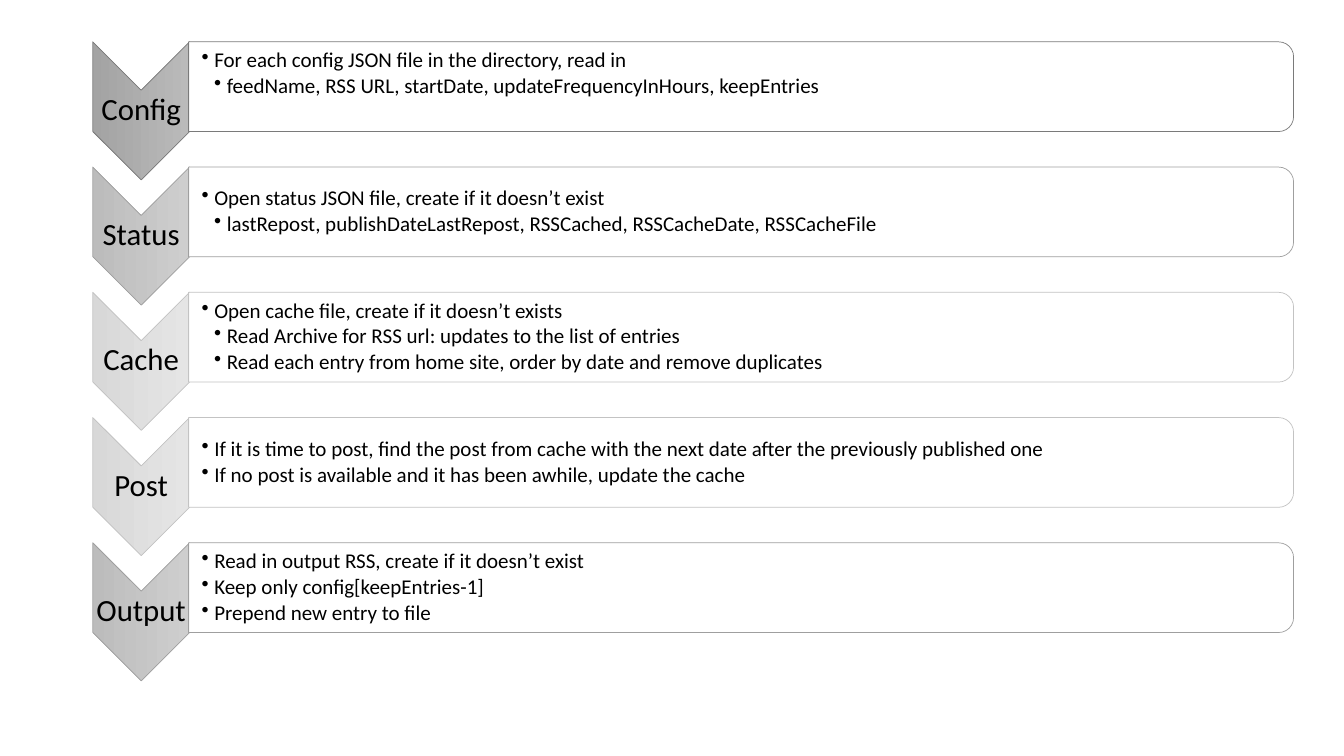
from dataclasses import dataclass

from lxml import etree
from pptx import Presentation
from pptx.dml.color import RGBColor
from pptx.enum.shapes import MSO_SHAPE
from pptx.enum.text import MSO_ANCHOR, PP_ALIGN
from pptx.oxml.ns import qn
from pptx.shapes.autoshape import Shape
from pptx.slide import Slide
from pptx.util import Inches, Pt

CHEVRON = MSO_SHAPE.CHEVRON
CARD = MSO_SHAPE.ROUND_2_SAME_RECTANGLE
MIDDLE = MSO_ANCHOR.MIDDLE
LEFT, CENTER = PP_ALIGN.LEFT, PP_ALIGN.CENTER

BLACK = RGBColor(0x00, 0x00, 0x00)
WHITE = RGBColor(0xFF, 0xFF, 0xFF)
FONT = "Calibri"
BULLET_INDENT = 0.125


@dataclass(frozen=True)
class Tone:
    top: RGBColor
    bottom: RGBColor
    outline: RGBColor


@dataclass(frozen=True)
class Step:
    name: str
    tone: Tone
    points: list[tuple[int, str]]  # (bullet level, wording)
    lift: float = 0  # extra room below the wording


DARK = Tone(RGBColor(0xBA, 0xBA, 0xBA), RGBColor(0xA3, 0xA3, 0xA3), RGBColor(0x7A, 0x7A, 0x7A))
MEDIUM = Tone(RGBColor(0xCE, 0xCE, 0xCE), RGBColor(0xBC, 0xBC, 0xBC), RGBColor(0x9F, 0x9F, 0x9F))
LIGHT = Tone(RGBColor(0xE5, 0xE5, 0xE5), RGBColor(0xD8, 0xD8, 0xD8), RGBColor(0xC3, 0xC3, 0xC3))

STEPS = [
    Step("Config", DARK, [
        (1, "For each config JSON file in the directory, read in"),
        (2, "feedName, RSS URL, startDate, updateFrequencyInHours, keepEntries"),
    ], lift=0.26),
    Step("Status", MEDIUM, [
        (1, "Open status JSON file, create if it doesn’t exist"),
        (2, "lastRepost, publishDateLastRepost, RSSCached, RSSCacheDate, RSSCacheFile"),
    ]),
    Step("Cache", LIGHT, [
        (1, "Open cache file, create if it doesn’t exists"),
        (2, "Read Archive for RSS url: updates to the list of entries"),
        (2, "Read each entry from home site, order by date and remove duplicates"),
    ]),
    Step("Post", LIGHT, [
        (1, "If it is time to post, find the post from cache with the next date "
            "after the previously published one"),
        (1, "If no post is available and it has been awhile, update the cache"),
    ]),
    Step("Output", MEDIUM, [
        (1, "Read in output RSS, create if it doesn’t exist"),
        (1, "Keep only config[keepEntries-1]"),
        (1, "Prepend new entry to file"),
    ]),
]

# Layout in inches; every centre is measured from the top of its step
FIRST_TOP, LAST_TOP = 0.41, 5.38
PITCH = (LAST_TOP - FIRST_TOP) / (len(STEPS) - 1)
CHEVRON_X, CHEVRON_Y = 1.4, 0.69
CARD_X, CARD_Y = 7.35, 0.45


def add_turned_shape(slide: Slide, kind: int, x: float, y: float,
                     width: float, height: float, outline: RGBColor) -> Shape:
    """Add a preset shape centred on (x, y) and turned by 90 degrees."""
    shape = slide.shapes.add_shape(kind, Inches(x - width / 2), Inches(y - height / 2),
                                   Inches(width), Inches(height))
    shape.rotation = 90
    shape.shadow.inherit = False
    shape.line.color.rgb = outline
    shape.line.width = Pt(0.5)
    return shape


def add_text(slide: Slide, lines: list[tuple[int, str]], *, left: float, top: float,
             width: float, height: float, size: float, align: int,
             insets: tuple[float, float, float, float]) -> None:
    """Add a text box; a line of level 1 or more gets a bullet."""
    frame = slide.shapes.add_textbox(Inches(left), Inches(top),
                                     Inches(width), Inches(height)).text_frame
    frame.word_wrap = True
    frame.vertical_anchor = MIDDLE
    (frame.margin_left, frame.margin_top,
     frame.margin_right, frame.margin_bottom) = map(Inches, insets)
    for index, (level, wording) in enumerate(lines):
        paragraph = frame.paragraphs[0] if index == 0 else frame.add_paragraph()
        paragraph.alignment = align
        paragraph.line_spacing = 0.9
        paragraph.space_after = Pt(size * 0.15)
        run = paragraph.add_run()
        run.text = wording
        run.font.name = FONT
        run.font.size = Pt(size)
        run.font.color.rgb = BLACK
        if level:
            paragraph.level = level
            properties = paragraph._p.get_or_add_pPr()
            properties.set("marL", str(Inches(BULLET_INDENT * level)))
            properties.set("indent", str(-Inches(BULLET_INDENT)))
            etree.SubElement(properties, qn("a:buChar")).set("char", "•")


def add_step(slide: Slide, step: Step, top: float) -> None:
    # Chevron and its name
    chevron = add_turned_shape(slide, CHEVRON, CHEVRON_X, top + CHEVRON_Y,
                               1.37, 0.96, step.tone.outline)
    chevron.fill.gradient()
    chevron.fill.gradient_angle = 270
    for stop, color in zip(chevron.fill.gradient_stops, (step.tone.top, step.tone.bottom)):
        stop.color.rgb = color
    for stop, position in zip(chevron.fill.gradient_stops, (0, 1)):
        stop.position = position
    add_text(slide, [(0, step.name)], left=0.92, top=top + 0.48, width=0.96, height=0.41,
             size=22, align=CENTER, insets=(0.02, 0.02, 0.02, 0.02))

    # Card and its points
    card = add_turned_shape(slide, CARD, CARD_X, top + CARD_Y, 0.89, 10.96, step.tone.outline)
    card.fill.solid()
    card.fill.fore_color.rgb = WHITE
    white = card._element.spPr.find(qn("a:solidFill")).find(qn("a:srgbClr"))
    etree.SubElement(white, qn("a:alpha")).set("val", "90000")
    add_text(slide, step.points, left=1.88, top=top + 0.05, width=10.91, height=0.8,
             size=15, align=LEFT, insets=(0.12, 0.01, 0.01, 0.01 + step.lift))


def main() -> None:
    presentation = Presentation()
    presentation.slide_width = Inches(13.33)
    presentation.slide_height = Inches(7.5)
    slide = presentation.slides.add_slide(presentation.slide_layouts[6])
    for index, step in enumerate(STEPS):
        add_step(slide, step, FIRST_TOP + index * PITCH)
    presentation.save("out.pptx")


if __name__ == "__main__":
    main()
